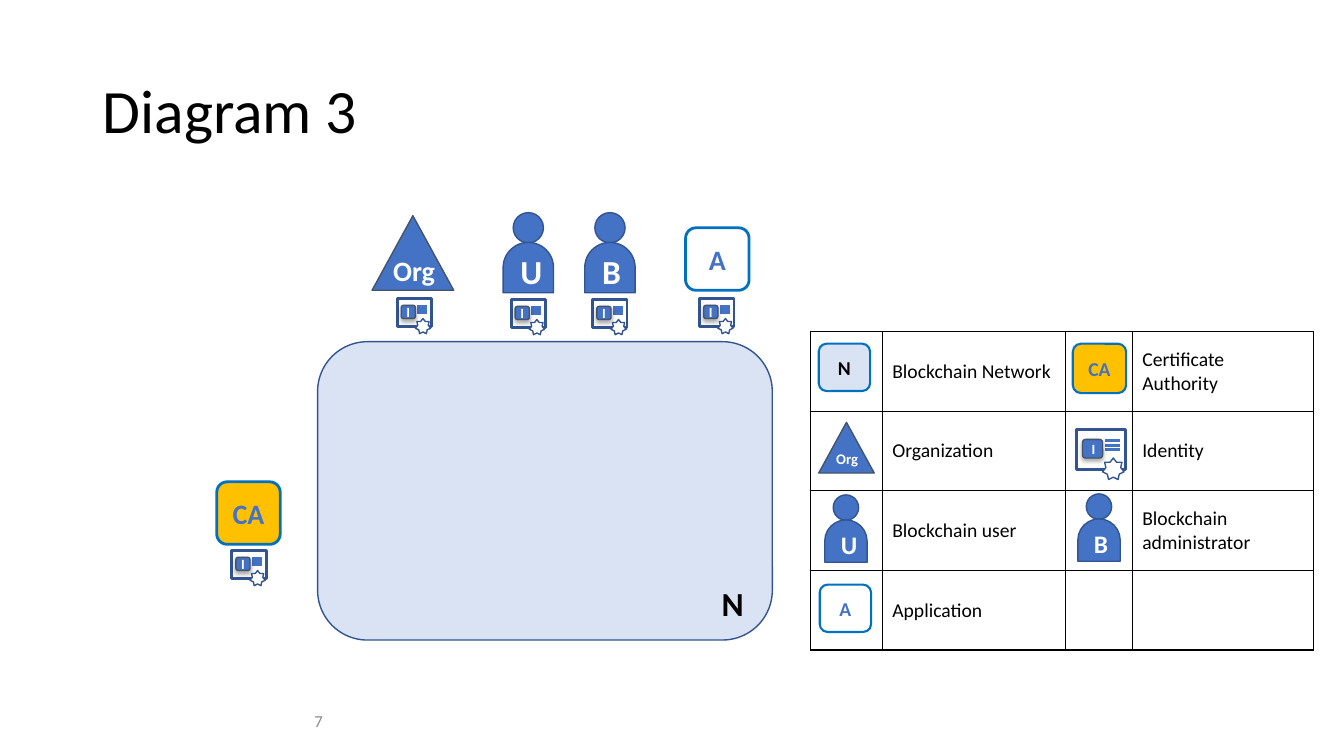
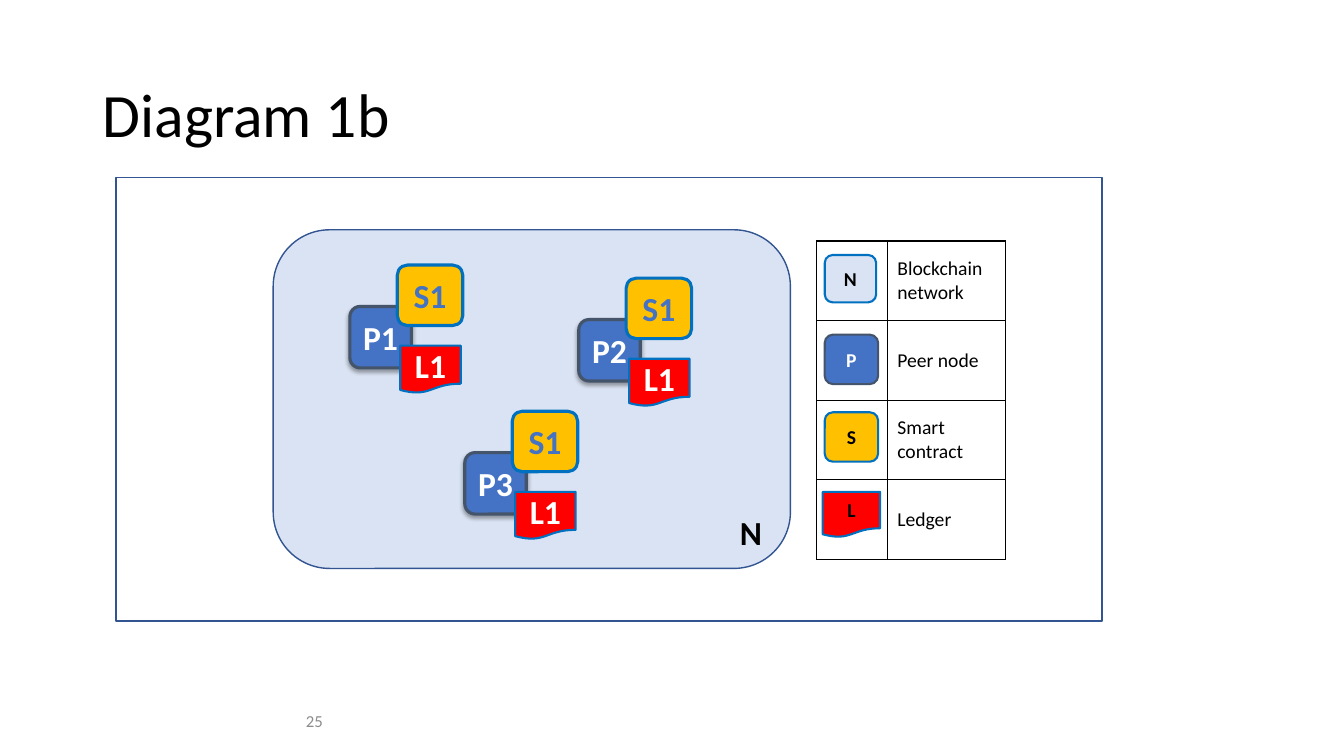
from dataclasses import dataclass

from lxml.etree import SubElement
from pptx import Presentation
from pptx.dml.color import RGBColor
from pptx.enum.shapes import MSO_CONNECTOR, MSO_SHAPE as SHAPE
from pptx.enum.text import MSO_ANCHOR as ANCHOR, MSO_AUTO_SIZE as AUTO, PP_ALIGN as ALIGN
from pptx.oxml.ns import qn
from pptx.util import Inches, Pt


@dataclass(frozen=True)
class Theme:
    font: str = "Calibri"
    black: str = "000000"
    white: str = "FFFFFF"
    grey: str = "8C8C8C"
    blue: str = "4472C4"
    navy: str = "325491"
    slate: str = "44546A"
    cyan: str = "0070C0"
    pale: str = "DAE3F3"
    amber: str = "FFC000"
    red: str = "FF0000"
    title: float = 44
    symbol: float = 24
    node: float = 20
    legend_symbol: float = 18
    legend: float = 14
    page: float = 12
    badge: float = 10


T = Theme()


@dataclass(frozen=True)
class Look:
    """Outline, fill, line colour and letter colour of one kind of node."""
    outline: SHAPE
    fill: str
    line: str
    ink: str


NETWORK = Look(SHAPE.ROUNDED_RECTANGLE, T.pale, T.cyan, T.black)
AUTHORITY = Look(SHAPE.ROUNDED_RECTANGLE, T.amber, T.cyan, T.blue)
APPLICATION = Look(SHAPE.ROUNDED_RECTANGLE, T.white, T.cyan, T.blue)
PEER = Look(SHAPE.ROUNDED_RECTANGLE, T.blue, T.slate, T.white)
CONTRACT = AUTHORITY
CONTRACT_KEY = Look(SHAPE.ROUNDED_RECTANGLE, T.amber, T.cyan, T.black)
LEDGER = Look(SHAPE.FLOWCHART_DOCUMENT, T.red, T.cyan, T.white)
LEDGER_KEY = Look(SHAPE.FLOWCHART_DOCUMENT, T.red, T.cyan, T.black)
CHARACTER = Look(SHAPE.ROUND_2_SAME_RECTANGLE, T.blue, T.navy, T.white)
AREA = Look(SHAPE.ROUNDED_RECTANGLE, T.pale, T.navy, T.black)


def rgb(value):
    return RGBColor.from_string(value)


def apply(target, values):
    for name, value in values.items():
        setattr(target, name, value)


def write(frame, text, size, color, bold=False, align=ALIGN.LEFT, **frame_format):
    apply(frame, {"word_wrap": True, **frame_format})
    paragraph = frame.paragraphs[0]
    paragraph.text = text
    paragraph.alignment = align
    apply(paragraph.font, {"name": T.font, "size": Pt(size), "bold": bold})
    paragraph.font.color.rgb = rgb(color)
    return paragraph


def add_label(slide, box, text, size, color, **text_format):
    frame = slide.shapes.add_textbox(*map(Inches, box)).text_frame
    return write(frame, text, size, color, **text_format)


def add_outline(slide, outline, box, fill, line, width=1):
    shape = slide.shapes.add_shape(outline, *map(Inches, box))
    shape.shadow.inherit = False
    if fill:
        shape.fill.solid()
        shape.fill.fore_color.rgb = rgb(fill)
    else:
        shape.fill.background()
    shape.line.color.rgb = rgb(line)
    shape.line.width = Pt(width)
    return shape


def add_node(slide, look, box, text, size, width):
    node = add_outline(slide, look.outline, box, look.fill, look.line, width)
    write(node.text_frame, text, size, look.ink, bold=True, align=ALIGN.CENTER,
          vertical_anchor=ANCHOR.MIDDLE)
    return node


def drop_shadow(shape):
    effects = shape._element.spPr.find(qn("a:effectLst"))
    shadow = SubElement(effects, qn("a:outerShdw"), blurRad=str(Pt(3.1)),
                        dist=str(Pt(1.8)), dir="5400000", rotWithShape="0")
    color = SubElement(shadow, qn("a:srgbClr"), val=T.black)
    SubElement(color, qn("a:alpha"), val="35000")


def add_rule(slide, left, right, y):
    rule = slide.shapes.add_connector(MSO_CONNECTOR.STRAIGHT,
                                      *map(Inches, (left, y, right, y)))
    rule.line.color.rgb = rgb(T.blue)
    rule.line.width = Pt(2)
    SubElement(rule._element.spPr, qn("a:effectLst"))


def add_identity(slide, x, y, scale=1.0):
    """Certificate card: badge, three text rules and a seal."""
    def part(left, top, width, height):
        return (x + left * scale, y + top * scale, width * scale, height * scale)

    add_outline(slide, SHAPE.RECTANGLE, part(0, 0, 0.34, 0.28), None, T.navy, 2)
    for row in range(3):
        add_rule(slide, x + 0.2 * scale, x + 0.3 * scale,
                 y + (0.08 + 0.03 * row) * scale)
    drop_shadow(add_node(slide, PEER, part(0.04, 0.07, 0.14, 0.13), "I", T.badge, 1))
    add_outline(slide, SHAPE.STAR_7_POINT, part(0.18, 0.2, 0.15, 0.15), T.white, T.navy)


def add_person(slide, x, y, body, letter, size):
    head = 0.6 * body
    add_outline(slide, SHAPE.OVAL, (x + (body - head) / 2, y, head, head), T.blue, T.navy)
    torso = add_node(slide, CHARACTER, (x, y + 0.59 * body, body, body), letter, size, 1)
    torso.adjustments[0] = 0.5
    torso.adjustments[1] = 0


def add_organization(slide, x, y, size, scale=1.0):
    add_outline(slide, SHAPE.ISOSCELES_TRIANGLE, (x, y, 0.81 * scale, 0.74 * scale),
                T.blue, T.slate)
    add_label(slide, (x + 0.11 * scale, y + 0.33 * scale, 0.62 * scale, 0.44 * scale),
              "Org", size, T.white, bold=True, word_wrap=False,
              auto_size=AUTO.SHAPE_TO_FIT_TEXT)


def add_network(slide, box, label_at):
    add_outline(slide, AREA.outline, box, AREA.fill, AREA.line)
    add_label(slide, (*label_at, 0.58, 0.5), "N", T.symbol, AREA.ink, bold=True)


def add_peer_cluster(slide, x, y, peer):
    drop_shadow(add_node(slide, PEER, (x, y, 0.61, 0.61), peer, T.symbol, 2.25))
    add_node(slide, LEDGER, (x + 0.5, y + 0.39, 0.6, 0.47), "L1", T.symbol, 1.5)
    add_node(slide, CONTRACT, (x + 0.47, y - 0.41, 0.65, 0.6), "S1", T.symbol, 2.25)


def border_cell(cell):
    properties = cell._tc.get_or_add_tcPr()
    for side in ("lnL", "lnR", "lnT", "lnB"):
        edge = SubElement(properties, qn(f"a:{side}"), w=str(Pt(1)))
        paint = SubElement(edge, qn("a:solidFill"))
        SubElement(paint, qn("a:srgbClr"), val=T.black)


def add_legend(slide, left, top, widths, rows):
    row_height = 0.79
    table = slide.shapes.add_table(
        len(rows), len(widths),
        *map(Inches, (left, top, sum(widths), row_height * len(rows)))).table
    apply(table, {"first_row": False, "horz_banding": False})
    for column, width in zip(table.columns, widths):
        column.width = Inches(width)
    for r, names in enumerate(rows):
        table.rows[r].height = Inches(row_height)
        for c in range(len(widths)):
            cell = table.cell(r, c)
            border_cell(cell)
            cell.fill.background()
            cell.vertical_anchor = ANCHOR.MIDDLE
            if c % 2 and names[c // 2]:
                write(cell.text_frame, names[c // 2], T.legend, T.black)


def add_slide(deck, title, title_top, page):
    slide = deck.slides.add_slide(deck.slide_layouts[6])
    heading = add_label(slide, (0.92, title_top, 11.5, 1.45), title, T.title, T.black,
                        vertical_anchor=ANCHOR.MIDDLE)
    heading.line_spacing = 0.9
    add_label(slide, (0.3, 6.95, 3, 0.4), page, T.page, T.grey, align=ALIGN.RIGHT,
              vertical_anchor=ANCHOR.MIDDLE)
    return slide


def build_identities(deck):
    slide = add_slide(deck, "Diagram 3", 0.4, "7")
    add_network(slide, (3.15, 3.39, 4.51, 2.96), (7.06, 5.73))
    add_organization(slide, 3.69, 2.14, T.node)
    for x, letter in ((4.99, "U"), (5.8, "B")):
        add_person(slide, x, 2.11, 0.5, letter, T.symbol)
    for look, x, y, text in ((AUTHORITY, 2.15, 4.78, "CA"), (APPLICATION, 6.8, 2.26, "A")):
        add_node(slide, look, (x, y, 0.63, 0.62), text, T.node, 2)
    for x, y in ((3.94, 2.96), (5.07, 2.97), (5.88, 2.97), (6.94, 2.96), (2.3, 5.46)):
        add_identity(slide, x, y)

    add_legend(slide, 8.04, 3.29, (0.71, 1.82, 0.66, 1.8), (
        ("Blockchain Network", "Certificate Authority"),
        ("Organization", "Identity"),
        ("Blockchain user", "Blockchain administrator"),
        ("Application", "")))
    for look, box, text in ((NETWORK, (8.12, 3.41, 0.51, 0.47), "N"),
                            (AUTHORITY, (10.64, 3.41, 0.53, 0.49), "CA"),
                            (APPLICATION, (8.13, 5.8, 0.51, 0.47), "A")):
        add_node(slide, look, box, text, T.legend, 1.5)
    add_organization(slide, 8.12, 4.19, 10.5, 0.68)
    add_identity(slide, 10.68, 4.26, 1.42)
    for x, y, letter in ((8.18, 4.91, "U"), (10.69, 4.9, "B")):
        add_person(slide, x, y, 0.42, letter, T.legend_symbol)


def build_peers(deck):
    slide = add_slide(deck, "Diagram 1b", 0.44, "25")
    add_network(slide, (2.71, 2.28, 5.13, 3.36), (7.24, 5.03))
    for x, y, peer in ((3.47, 3.04, "P1"), (5.74, 3.17, "P2"), (4.61, 4.49, "P3")):
        add_peer_cluster(slide, x, y, peer)

    add_legend(slide, 8.1, 2.39, (0.7, 1.17), (
        ("Blockchain network",), ("Peer node",), ("Smart contract",), ("Ledger",)))
    for look, box, text in ((NETWORK, (8.18, 2.53, 0.51, 0.47), "N"),
                            (PEER, (8.18, 3.32, 0.53, 0.49), "P"),
                            (CONTRACT_KEY, (8.18, 4.09, 0.53, 0.49), "S"),
                            (LEDGER_KEY, (8.16, 4.88, 0.57, 0.45), "L")):
        add_node(slide, look, box, text, T.legend, 1.5)
    add_outline(slide, SHAPE.RECTANGLE, (1.15, 1.76, 9.78, 4.4), None, T.navy)


def main():
    deck = Presentation()
    apply(deck, {"slide_width": Inches(13.33), "slide_height": Inches(7.5)})
    build_identities(deck)
    build_peers(deck)
    deck.save("out.pptx")


if __name__ == "__main__":
    main()
